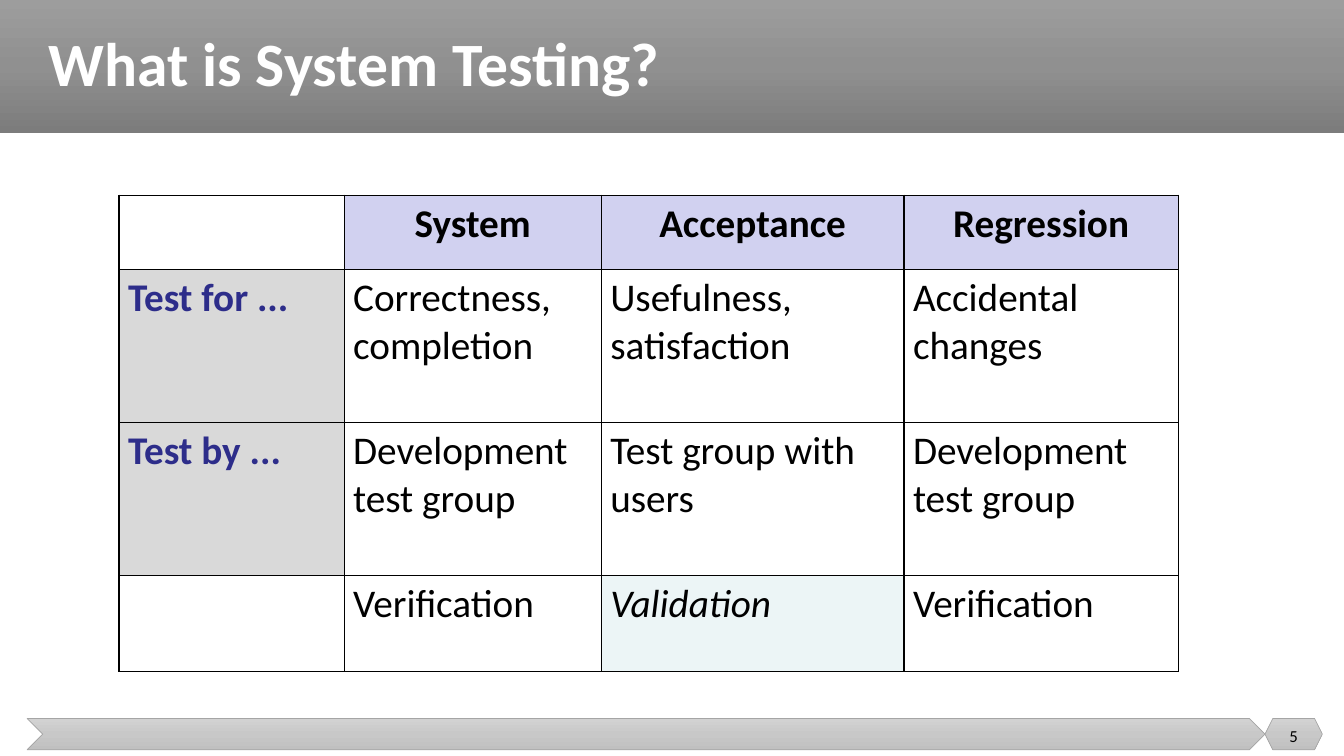
from copy import deepcopy

from lxml import etree
from pptx import Presentation
from pptx.dml.color import RGBColor
from pptx.enum import shapes, text
from pptx.oxml.ns import qn
from pptx.util import Pt

TITLE = "What is System Testing?"
PAGE_NUMBER = "5"
TESTING = [
    ["", "System", "Acceptance", "Regression"],
    ["Test for ...", "Correctness, completion", "Usefulness, satisfaction", "Accidental changes"],
    ["Test by ...", "Development test group", "Test group with users", "Development test group"],
    ["", "Verification", "Validation", "Verification"],
]
COLUMN_WIDTHS = [160.8, 183.7, 216.2, 196]
ROW_HEIGHTS = [52.8, 109.4, 109.4, 68.6]

THEME = {
    "font": "Calibri",
    "title_size": 44, "table_size": 28, "number_size": 12,
    "title": "FFFFFF", "body": "000000", "row_label": "2D2D8A",
    "header_fill": "D1D1F0", "label_fill": "D9D9D9", "highlight_fill": "DAEDEF",
    "banner": ["9D9D9D", "909090", "7C7C7C"],
    "footer": ["D2D2D2", "C8C8C8", "C0C0C0"],
    "footer_line": "A5A5A5",
}

SLIDE_W, SLIDE_H = 960, 540
BANNER_H = 95
FOOTER_LEFT, FOOTER_TOP, FOOTER_H = 19.4, 513.2, 22.4
BADGE_LEFT, BADGE_W = 903.6, 41
TABLE_LEFT, TABLE_TOP = 85, 139.5


def color(name):
    return RGBColor.from_string(THEME[name])


def write(paragraph, words, size, color_name, **extra):
    paragraph.text = words
    formats = {"name": THEME["font"], "size": Pt(THEME[size]), "bold": False, **extra}
    for attribute, value in formats.items():
        setattr(paragraph.font, attribute, value)
    paragraph.font.color.rgb = color(color_name)


def add_bar(slide, preset, box, shades, line=None):
    """Add a preset shape with a three-stop gradient from top to bottom."""
    bar = slide.shapes.add_shape(preset, *map(Pt, box))
    bar.shadow.inherit = False
    bar.fill.gradient()
    bar.fill.gradient_angle = 270
    stops = bar.element.find(".//" + qn("a:gsLst"))
    stops.append(deepcopy(stops[-1]))
    for index, (stop, shade) in enumerate(zip(bar.fill.gradient_stops, THEME[shades])):
        stop.position = index / 2
        stop.color.rgb = RGBColor.from_string(shade)
    if line:
        bar.line.color.rgb = color(line)
        bar.line.width = Pt(0.5)
    else:
        bar.line.fill.background()


def add_borders(cell):
    properties = cell._tc.get_or_add_tcPr()
    for index, side in enumerate(("lnL", "lnR", "lnT", "lnB")):
        border = etree.Element(qn(f"a:{side}"), w=str(Pt(1)))
        fill = etree.SubElement(border, qn("a:solidFill"))
        etree.SubElement(fill, qn("a:srgbClr"), val=THEME["body"])
        properties.insert(index, border)


def fill_cell(cell, fill_name, opacity=None):
    if not fill_name:
        cell.fill.background()
        return
    cell.fill.solid()
    cell.fill.fore_color.rgb = color(fill_name)
    if opacity:
        shade = cell._tc.tcPr.find(qn("a:solidFill"))[0]
        etree.SubElement(shade, qn("a:alpha"), val=str(opacity * 1000))


def fill_name_for(words, header, label, highlight):
    if not words:
        return None
    if header:
        return "header_fill"
    if label:
        return "label_fill"
    return "highlight_fill" if highlight else None


def add_testing_table(slide):
    frame = slide.shapes.add_table(
        len(TESTING), len(TESTING[0]), Pt(TABLE_LEFT), Pt(TABLE_TOP),
        Pt(sum(COLUMN_WIDTHS)), Pt(sum(ROW_HEIGHTS)))
    table = frame.table
    table.first_row = table.horz_banding = False
    for column, width in zip(table.columns, COLUMN_WIDTHS):
        column.width = Pt(width)
    for row, height in zip(table.rows, ROW_HEIGHTS):
        row.height = Pt(height)

    margins = {"margin_left": 6.5, "margin_right": 6.5, "margin_top": 3.6, "margin_bottom": 3.6}
    for r, entries in enumerate(TESTING):
        for c, words in enumerate(entries):
            cell = table.cell(r, c)
            for side, size in margins.items():
                setattr(cell, side, Pt(size))
            add_borders(cell)
            header, label = r == 0, c == 0
            highlight = words == "Validation"
            fill_cell(cell, fill_name_for(words, header, label, highlight),
                      51 if highlight else None)
            if words:
                paragraph = cell.text_frame.paragraphs[0]
                write(paragraph, words, "table_size", "row_label" if label else "body",
                      bold=header or label, italic=highlight)
                if header:
                    paragraph.alignment = text.PP_ALIGN.CENTER


def place_title(slide):
    title = slide.shapes.title
    title.element.getparent().append(title.element)  # in front of the banner
    box = {"left": 27.4, "top": 0, "width": 917.2, "height": BANNER_H}
    for side, size in box.items():
        setattr(title, side, Pt(size))
    title.text_frame.vertical_anchor = text.MSO_ANCHOR.MIDDLE
    paragraph = title.text_frame.paragraphs[0]
    write(paragraph, TITLE, "title_size", "title", bold=True)
    paragraph.alignment = text.PP_ALIGN.LEFT
    paragraph.line_spacing = 0.9


def add_page_number(slide):
    box = slide.shapes.add_textbox(Pt(BADGE_LEFT), Pt(511.2), Pt(BADGE_W), Pt(28.8))
    box.text_frame.word_wrap = True
    box.text_frame.vertical_anchor = text.MSO_ANCHOR.MIDDLE
    paragraph = box.text_frame.paragraphs[0]
    write(paragraph, PAGE_NUMBER, "number_size", "body")
    paragraph.alignment = text.PP_ALIGN.CENTER


def main():
    deck = Presentation()
    deck.slide_width, deck.slide_height = Pt(SLIDE_W), Pt(SLIDE_H)
    slide = deck.slides.add_slide(deck.slide_layouts.get_by_name("Title Only"))
    preset = shapes.MSO_SHAPE
    add_bar(slide, preset.RECTANGLE, (0, 0, SLIDE_W, BANNER_H), "banner")
    add_bar(slide, preset.CHEVRON,
            (FOOTER_LEFT, FOOTER_TOP, BADGE_LEFT - FOOTER_LEFT, FOOTER_H), "footer", "footer_line")
    add_bar(slide, preset.HEXAGON,
            (BADGE_LEFT, FOOTER_TOP, BADGE_W, FOOTER_H), "footer", "footer_line")
    place_title(slide)
    add_testing_table(slide)
    add_page_number(slide)
    deck.save("out.pptx")


if __name__ == "__main__":
    main()
